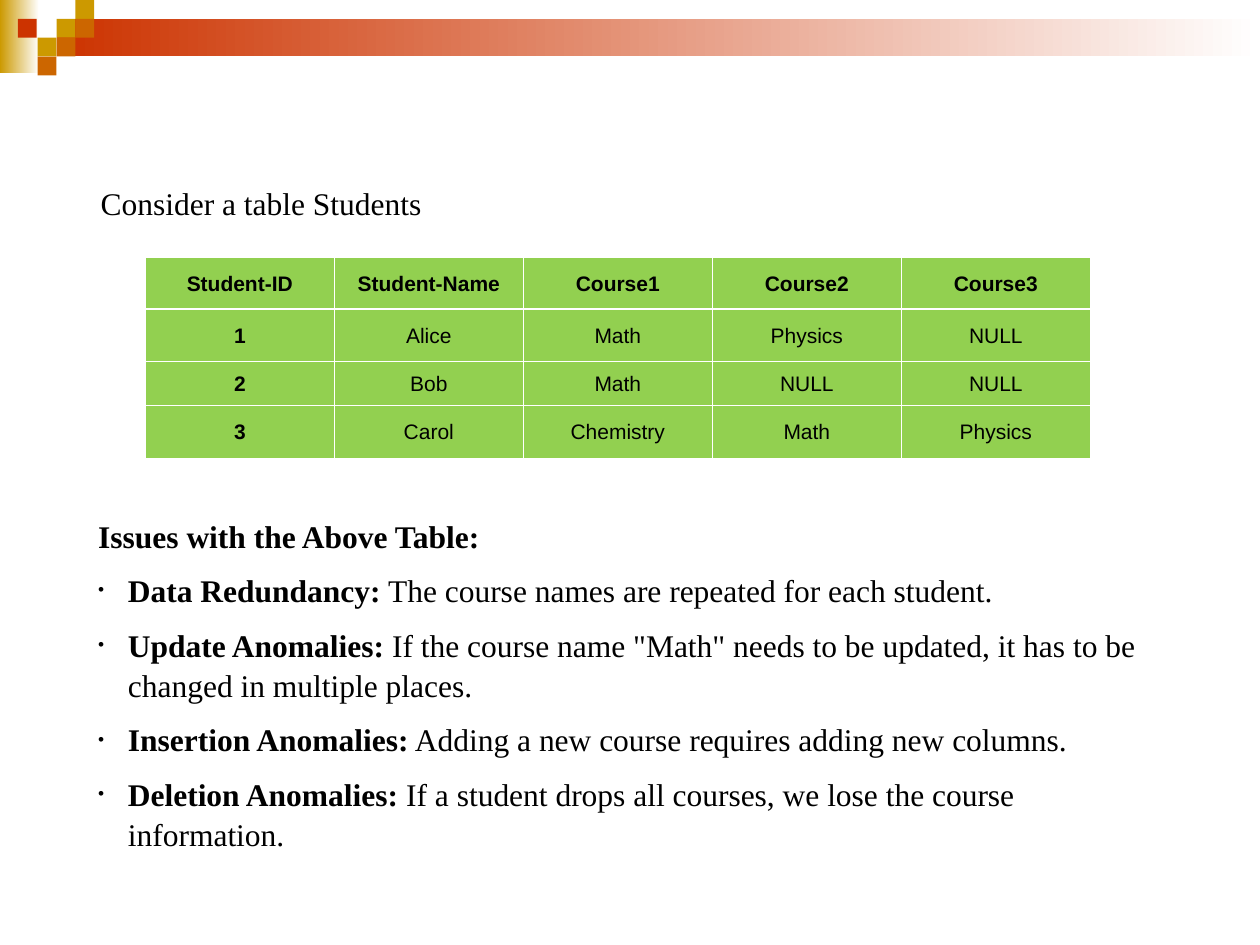
from pptx import Presentation
from pptx.dml.color import RGBColor
from pptx.enum.shapes import MSO_SHAPE as Shape
from pptx.enum.text import MSO_ANCHOR as Anchor, MSO_AUTO_SIZE as AutoSize, PP_ALIGN as Align
from pptx.oxml.ns import qn
from pptx.util import Cm, Pt
from lxml.etree import SubElement

BLACK = RGBColor(0x00, 0x00, 0x00)
WHITE = RGBColor(0xFF, 0xFF, 0xFF)
GOLD = RGBColor(0xCC, 0x99, 0x00)
ORANGE = RGBColor(0xCC, 0x66, 0x00)
RED = RGBColor(0xCC, 0x33, 0x00)
GREEN = RGBColor(0x92, 0xD0, 0x50)

SERIF = "Times New Roman"
SANS = "Arial"
LINE_SPACING = 1.07
SQUARE = 0.38
HANGING = Cm(0.6)
THIN, THICK = Pt(0.45), Pt(1.47)

SQUARES = [
    (3, 1, GOLD), (4, 0, GOLD), (4, 1, ORANGE), (2, 2, GOLD),
    (0.95, 1, RED), (3, 2, ORANGE), (2, 3, ORANGE),
]
STUDENTS = [
    ["Student-ID", "Student-Name", "Course1", "Course2", "Course3"],
    ["1", "Alice", "Math", "Physics", "NULL"],
    ["2", "Bob", "Math", "NULL", "NULL"],
    ["3", "Carol", "Chemistry", "Math", "Physics"],
]
ROW_HEIGHTS = [1.05, 1.06, 0.88, 1.06]
ISSUES = [
    ("Data Redundancy:", " The course names are repeated for each student."),
    ("Update Anomalies:", ' If the course name "Math" needs to be updated, '
                          "it has to be changed in multiple places."),
    ("Insertion Anomalies:", " Adding a new course requires adding new columns."),
    ("Deletion Anomalies:", " If a student drops all courses, we lose the course information."),
]


def add_rectangle(slide, left, top, width, height):
    shape = slide.shapes.add_shape(Shape.RECTANGLE, Cm(left), Cm(top), Cm(width), Cm(height))
    shape.shadow.inherit = False
    shape.line.fill.background()
    return shape


def add_square(slide, column, row, color):
    shape = add_rectangle(slide, column * SQUARE, row * SQUARE, SQUARE, SQUARE)
    shape.fill.solid()
    shape.fill.fore_color.rgb = color


def add_fading_band(slide, left, top, width, height, color):
    fill = add_rectangle(slide, left, top, width, height).fill
    fill.gradient()
    fill.gradient_angle = 0
    for stop, stop_color, position in zip(fill.gradient_stops, (color, WHITE), (0, 1)):
        stop.color.rgb = stop_color
        stop.position = position


def add_run(paragraph, text, font_name, size, bold=False):
    run = paragraph.add_run()
    run.text = text
    run.font.name = font_name
    run.font.size = Pt(size)
    run.font.bold = bold
    run.font.color.rgb = BLACK


def add_text_box(slide, left, top, width, height, wrap):
    box = slide.shapes.add_textbox(Cm(left), Cm(top), Cm(width), Cm(height))
    frame = box.text_frame
    frame.word_wrap = wrap
    frame.auto_size = AutoSize.SHAPE_TO_FIT_TEXT
    return frame


def space_paragraph(paragraph):
    paragraph.line_spacing = LINE_SPACING
    paragraph.space_after = Pt(8)


def add_bullet(paragraph):
    properties = paragraph._p.get_or_add_pPr()
    properties.set("marL", str(HANGING))
    properties.set("indent", str(-HANGING))
    color = SubElement(properties, qn("a:buClr"))
    SubElement(color, qn("a:srgbClr"), val=str(BLACK))
    SubElement(properties, qn("a:buSzPct"), val="55000")
    SubElement(properties, qn("a:buFont"), typeface=SANS)
    SubElement(properties, qn("a:buChar"), char="•")


def add_border(cell, side, width):
    line = SubElement(cell._tc.get_or_add_tcPr(), qn(f"a:ln{side}"), w=str(width))
    fill = SubElement(line, qn("a:solidFill"))
    SubElement(fill, qn("a:srgbClr"), val=str(WHITE))


def fill_cell(cell, text, row, column):
    cell.vertical_anchor = Anchor.MIDDLE
    cell.margin_left = cell.margin_right = Cm(0.03)
    cell.margin_top = cell.margin_bottom = Cm(0.13)
    add_border(cell, "L", THIN)
    add_border(cell, "R", THIN)
    add_border(cell, "T", THICK if row == 1 else THIN)
    add_border(cell, "B", THICK if row == 0 else THIN)
    cell.fill.solid()
    cell.fill.fore_color.rgb = GREEN
    paragraph = cell.text_frame.paragraphs[0]
    paragraph.alignment = Align.CENTER
    paragraph.line_spacing = LINE_SPACING
    add_run(paragraph, text, SANS, 12, bold=row == 0 or column == 0)


def add_student_table(slide):
    frame = slide.shapes.add_table(len(STUDENTS), len(STUDENTS[0]),
                                   Cm(2.93), Cm(5.18), Cm(19.05), Cm(sum(ROW_HEIGHTS)))
    table = frame.table
    for column in table.columns:
        column.width = Cm(3.81)
    for row, (height, values) in enumerate(zip(ROW_HEIGHTS, STUDENTS)):
        table.rows[row].height = Cm(height)
        for column, text in enumerate(values):
            fill_cell(table.cell(row, column), text, row, column)


def add_issues(slide):
    frame = add_text_box(slide, 1.73, 10.24, 22.17, 6.27, wrap=True)
    heading = frame.paragraphs[0]
    space_paragraph(heading)
    add_run(heading, "Issues with the Above Table:", SERIF, 18, bold=True)
    for term, explanation in ISSUES:
        paragraph = frame.add_paragraph()
        space_paragraph(paragraph)
        add_bullet(paragraph)
        add_run(paragraph, term, SERIF, 18, bold=True)
        add_run(paragraph, explanation, SERIF, 18)


def main():
    presentation = Presentation()
    presentation.slide_width = Cm(25.4)
    presentation.slide_height = Cm(19.05)
    slide = presentation.slides.add_slide(presentation.slide_layouts[6])

    add_fading_band(slide, 0, 0, 0.79, 1.47, GOLD)
    add_fading_band(slide, 1.14, 0.38, 24.26, 0.76, RED)
    for column, row, color in SQUARES:
        add_square(slide, column, row, color)

    introduction = add_text_box(slide, 1.78, 3.53, 6.99, 1.07, wrap=False).paragraphs[0]
    space_paragraph(introduction)
    add_run(introduction, "Consider a table Students", SERIF, 18)
    add_student_table(slide)
    add_issues(slide)
    presentation.save("out.pptx")


if __name__ == "__main__":
    main()
